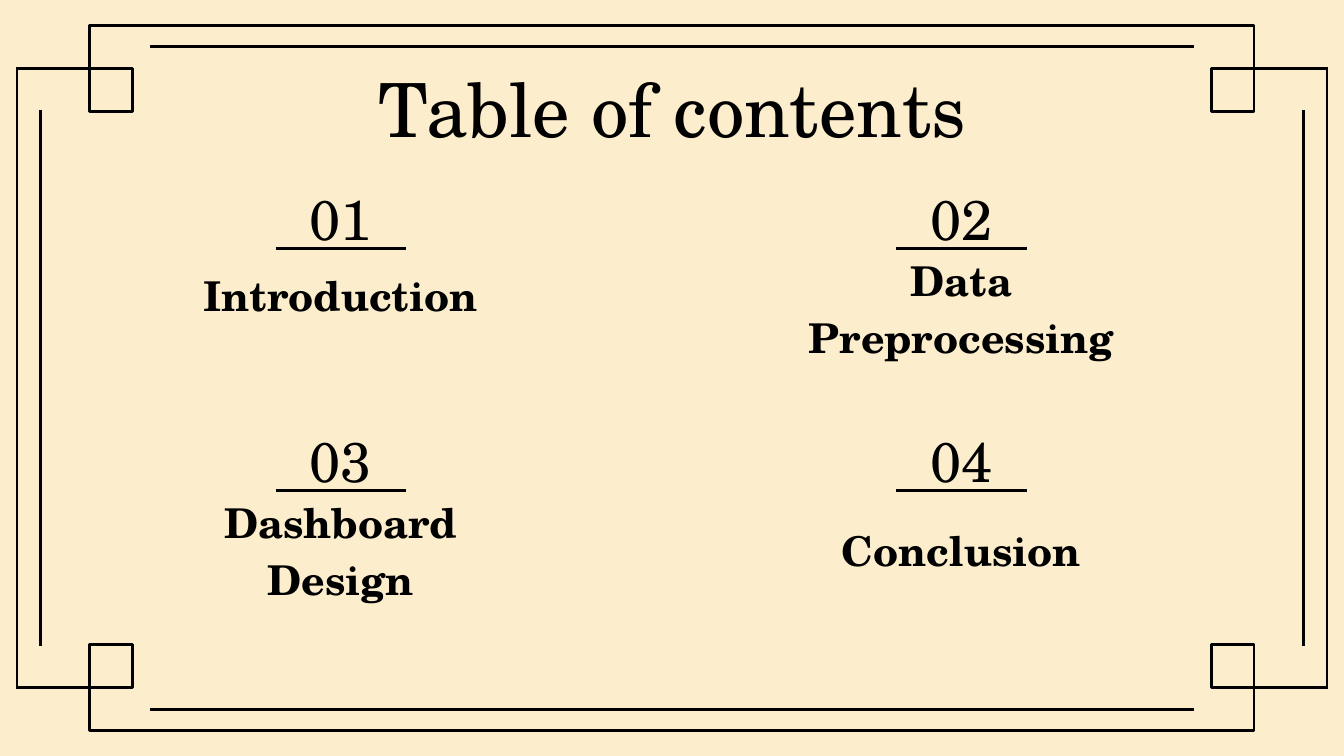
"""Build a table of contents slide inside a mirrored line frame."""
from dataclasses import dataclass
from typing import Any

import lxml.etree
import pptx
import pptx.dml.color
import pptx.enum.shapes
import pptx.enum.text
import pptx.oxml.ns
import pptx.util

Cm = pptx.util.Cm
ANCHOR = pptx.enum.text.MSO_ANCHOR
COLOURS = {"paper": "FCEECD", "ink": "000000"}
FONT = "TeX Gyre Schola"
WIDTH, HEIGHT = 25.4, 14.29
SQUARE = 0.81
COLUMNS = (6.44, 18.17)
FIRST_ROW, ROW_STEP = 3.35, 4.57


@dataclass
class Entry:
    number: str
    name: str
    anchor: Any = ANCHOR.MIDDLE


@dataclass
class Style:
    size: float
    bold: bool = False
    spacing: float = 1.15
    anchor: Any = ANCHOR.MIDDLE


ENTRIES = (
    Entry("01", "Introduction", ANCHOR.BOTTOM),
    Entry("02", "Data Preprocessing"),
    Entry("03", "Dashboard Design"),
    Entry("04", "Conclusion"),
)


def colour(name: str) -> pptx.dml.color.RGBColor:
    """Look up a palette colour."""
    return pptx.dml.color.RGBColor.from_string(COLOURS[name])


def ink_line(line: Any) -> None:
    """Give an outline the frame's ink and width."""
    line.color.rgb = colour("ink")
    line.width = pptx.util.Pt(1.5)


def draw_line(page: Any, x1: float, y1: float, x2: float, y2: float) -> None:
    """Draw a straight rule between two points in centimetres."""
    rule = page.shapes.add_connector(
        pptx.enum.shapes.MSO_CONNECTOR.STRAIGHT, Cm(x1), Cm(y1), Cm(x2), Cm(y2)
    )
    ink_line(rule.line)
    lxml.etree.SubElement(rule._element.spPr, pptx.oxml.ns.qn("a:effectLst"))


def outline(shape: Any) -> None:
    """Leave a shape unfilled with an ink outline."""
    shape.shadow.inherit = False
    shape.fill.background()
    ink_line(shape.line)


def draw_frame(page: Any) -> None:
    """Draw the frame, mirrored across both axes of the page."""
    for x in (0.32, WIDTH - 0.32):
        draw_line(page, x, 1.3, x, HEIGHT - 1.3)
    for x in (0.76, WIDTH - 0.76):
        draw_line(page, x, 2.08, x, HEIGHT - 2.08)
    for y in (0.88, HEIGHT - 0.88):
        draw_line(page, 2.84, y, WIDTH - 2.84, y)
    for x in (1.7, WIDTH - 1.7 - SQUARE):
        for y in (1.3, HEIGHT - 1.3 - SQUARE):
            outline(page.shapes.add_shape(
                pptx.enum.shapes.MSO_SHAPE.RECTANGLE,
                Cm(x), Cm(y), Cm(SQUARE), Cm(SQUARE),
            ))
    for inner, outer in ((1.3, 0.48), (HEIGHT - 1.3, HEIGHT - 0.48)):
        left = [(0.31, inner), (1.7, inner), (1.7, outer)]
        right = [(WIDTH - x, y) for x, y in reversed(left)]
        points = [(Cm(x), Cm(y)) for x, y in left + right]
        builder = page.shapes.build_freeform(*points[0])
        builder.add_line_segments(points[1:], close=False)
        outline(builder.convert_to_shape())


def write_text(box: Any, text: str, style: Style) -> None:
    """Fill a box with one centred paragraph."""
    frame = box.text_frame
    frame_format = {
        "word_wrap": True,
        "auto_size": pptx.enum.text.MSO_AUTO_SIZE.NONE,
        "vertical_anchor": style.anchor,
        "margin_left": Cm(0.25), "margin_right": Cm(0.25),
        "margin_top": Cm(0.25), "margin_bottom": Cm(0.25),
    }
    for key, value in frame_format.items():
        setattr(frame, key, value)
    para = frame.paragraphs[0]
    para.alignment = pptx.enum.text.PP_ALIGN.CENTER
    para.line_spacing = style.spacing
    span = para.add_run()
    span.text = text
    span_format = {"name": FONT, "size": pptx.util.Pt(style.size), "bold": style.bold}
    for key, value in span_format.items():
        setattr(span.font, key, value)
    span.font.color.rgb = colour("ink")


def add_text(page: Any, centre: float, top: float, width: float, height: float,
             text: str, style: Style) -> None:
    """Add a text box centred on a column."""
    box = page.shapes.add_textbox(Cm(centre - width / 2), Cm(top), Cm(width), Cm(height))
    write_text(box, text, style)


def draw_entry(page: Any, entry: Entry, centre: float, top: float) -> None:
    """Draw an entry's number, rule and name."""
    add_text(page, centre, top, 2.51, 1.35, entry.number, Style(30))
    add_text(page, centre, top + 1.88, 6.4, 1.07, entry.name,
             Style(22, bold=True, anchor=entry.anchor))
    draw_line(page, centre - 1.23, top + 1.35, centre + 1.23, top + 1.35)


def main() -> None:
    """Create and save the deck."""
    deck = pptx.Presentation()
    deck.slide_width, deck.slide_height = Cm(WIDTH), Cm(HEIGHT)
    page = deck.slides.add_slide(deck.slide_layouts.get_by_name("Title Only"))
    page.background.fill.solid()
    page.background.fill.fore_color.rgb = colour("paper")
    draw_frame(page)
    title = page.shapes.title
    place = {"left": 2.0, "top": 1.24, "width": 21.4, "height": 1.6}
    for key, value in place.items():
        setattr(title, key, Cm(value))
    write_text(title, "Table of contents", Style(40, spacing=1.0))
    for index, entry in enumerate(ENTRIES):
        row, column = divmod(index, len(COLUMNS))
        draw_entry(page, entry, COLUMNS[column], FIRST_ROW + row * ROW_STEP)
    deck.save("out.pptx")


if __name__ == "__main__":
    main()
